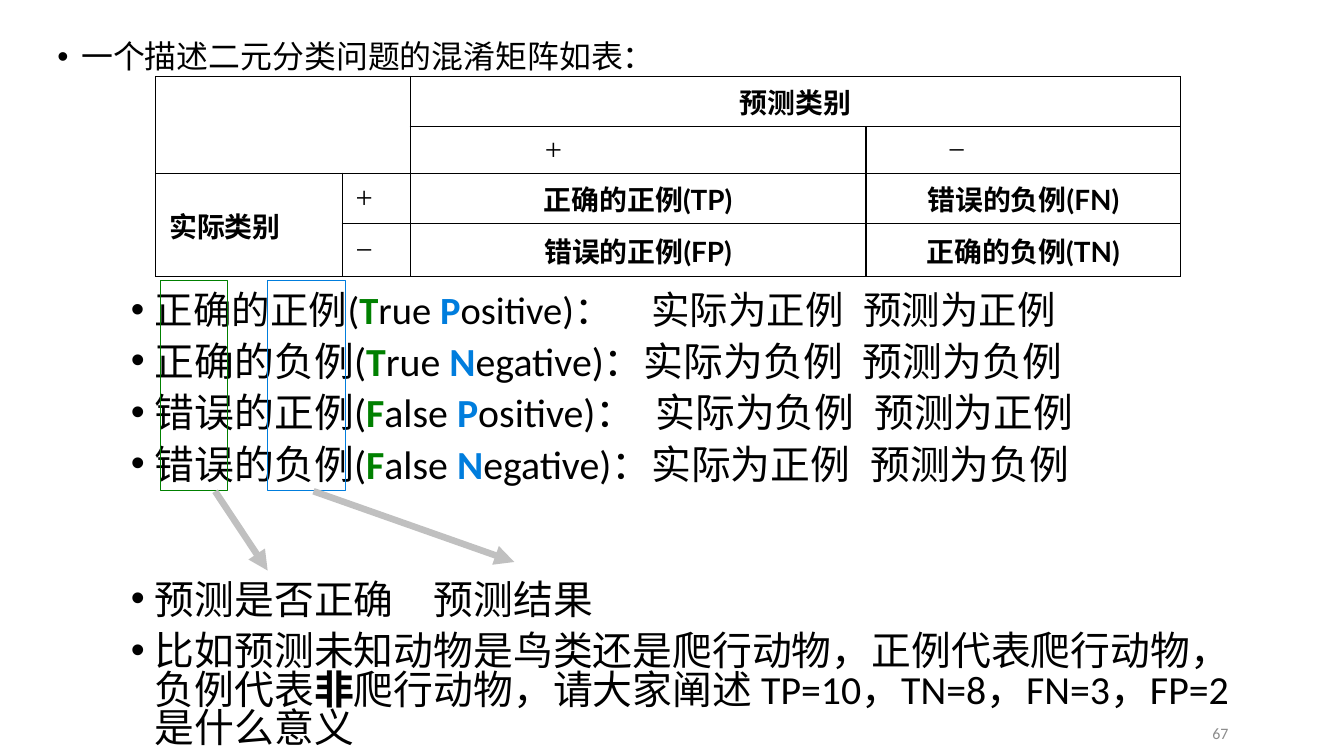
from lxml import etree
from pptx import Presentation
from pptx.dml.color import RGBColor
from pptx.enum.shapes import MSO_CONNECTOR, MSO_SHAPE
from pptx.enum.text import MSO_ANCHOR, MSO_AUTO_SIZE, PP_ALIGN
from pptx.oxml.ns import qn
from pptx.util import Inches, Pt

LEFT, CENTER, RIGHT = PP_ALIGN.LEFT, PP_ALIGN.CENTER, PP_ALIGN.RIGHT
TOP, MIDDLE = MSO_ANCHOR.TOP, MSO_ANCHOR.MIDDLE
NO_AUTOFIT = MSO_AUTO_SIZE.NONE
RECTANGLE, STRAIGHT = MSO_SHAPE.RECTANGLE, MSO_CONNECTOR.STRAIGHT

BLACK, GREEN, BLUE = "000000", "008000", "007DDD"
ARROW_GRAY, NUMBER_GRAY = "C0C0C0", "8C8C8C"
EN_SPACE, EM_SPACE = "\u2002", "\u2003"

INTRO = "一个描述二元分类问题的混淆矩阵如表："
OUTCOMES = [
    ("正确的正例", "True", "Positive", EM_SPACE, "正例", "正例"),
    ("正确的负例", "True", "Negative", "", "负例", "负例"),
    ("错误的正例", "False", "Positive", EN_SPACE, "负例", "正例"),
    ("错误的负例", "False", "Negative", "", "正例", "负例"),
]
MEANING = f"预测是否正确{EM_SPACE}预测结果"
QUESTION = [
    ("比如预测未知动物是鸟类还是爬行动物，正例代表爬行动物，负例代表", False),
    ("非", True),
    ("爬行动物，请大家阐述 TP=10，TN=8，FN=3，FP=2是什么意义", False),
]
PAGE_NUMBER = "67"

COLUMN_WIDTHS = [1.95, 0.71, 4.77, 3.29]
ROW_HEIGHTS = [0.5, 0.49, 0.46, 0.56]
MERGES = [((0, 0), (1, 1)), ((0, 2), (0, 3)), ((2, 0), (3, 0))]
CELL_MARGIN = 0.14
LABELS = {
    (0, 2): ("预测类别", CENTER),
    (2, 0): ("实际类别", LEFT),
    (2, 2): ("正确的正例(TP)", CENTER),
    (2, 3): ("错误的负例(FN)", CENTER),
    (3, 2): ("错误的正例(FP)", CENTER),
    (3, 3): ("正确的负例(TN)", CENTER),
}
SIGNS = {
    (1, 2): ("+", 1.41),
    (1, 3): ("−", 0.86),
    (2, 1): ("+", CELL_MARGIN),
    (3, 1): ("−", CELL_MARGIN),
}
FRAMES = [(1.68, 0.7, GREEN), (2.8, 0.81, BLUE)]
ARROWS = [((3.28, 5.14), (5.38, 5.88)), ((2.25, 5.14), (2.8, 5.97))]


def color(value):
    return RGBColor.from_string(value)


def add_run(paragraph, text, size=30, font="Calibri", fill=BLACK, bold=False):
    run = paragraph.add_run()
    run.text = text
    run.font.size = Pt(size)
    run.font.name = font
    run.font.bold = bold
    run.font.color.rgb = color(fill)


def format_bullet(paragraph, margin=0.25, line_spacing=0.8, space_before=10):
    paragraph.line_spacing = line_spacing
    paragraph.space_before = Pt(space_before)
    properties = paragraph._p.get_or_add_pPr()
    properties.set("marL", str(Inches(margin)))
    properties.set("indent", str(Inches(-0.25)))
    etree.SubElement(properties, qn("a:buChar")).set("char", "•")


def place_body(shape, left, top, width, height):
    shape.left, shape.top = Inches(left), Inches(top)
    shape.width, shape.height = Inches(width), Inches(height)
    frame = shape.text_frame
    frame.word_wrap = True
    frame.auto_size = NO_AUTOFIT
    frame.vertical_anchor = TOP
    return frame


def add_borders(cell):
    properties = cell._tc.get_or_add_tcPr()
    for side in ("lnL", "lnR", "lnT", "lnB"):
        line = etree.SubElement(properties, qn(f"a:{side}"), w=str(Pt(1)))
        fill = etree.SubElement(line, qn("a:solidFill"))
        etree.SubElement(fill, qn("a:srgbClr"), val=BLACK)


presentation = Presentation()
presentation.slide_width, presentation.slide_height = Inches(14.06), Inches(7.91)
slide = presentation.slides.add_slide(presentation.slide_layouts[3])
title, intro, details = slide.placeholders
title._element.getparent().remove(title._element)

intro_paragraph = place_body(intro, 0, 0.38, 13.79, 0.58).paragraphs[0]
format_bullet(intro_paragraph, margin=0.75, line_spacing=0.9, space_before=5)
add_run(intro_paragraph, INTRO, size=24)

table = slide.shapes.add_table(
    len(ROW_HEIGHTS), len(COLUMN_WIDTHS), Inches(1.63), Inches(0.8),
    Inches(sum(COLUMN_WIDTHS)), Inches(sum(ROW_HEIGHTS))).table
table.first_row = table.horz_banding = False
for column, width in zip(table.columns, COLUMN_WIDTHS):
    column.width = Inches(width)
for row, height in zip(table.rows, ROW_HEIGHTS):
    row.height = Inches(height)
for cell in table.iter_cells():
    add_borders(cell)
    cell.fill.background()
    cell.vertical_anchor = MIDDLE
    cell.margin_left = cell.margin_right = Inches(CELL_MARGIN)
for first, last in MERGES:
    table.cell(*first).merge(table.cell(*last))
for position, (text, alignment) in LABELS.items():
    paragraph = table.cell(*position).text_frame.paragraphs[0]
    paragraph.alignment = alignment
    add_run(paragraph, text, size=21, font="Lato", bold=True)
for position, (text, margin) in SIGNS.items():
    cell = table.cell(*position)
    cell.margin_left = Inches(margin)
    add_run(cell.text_frame.paragraphs[0], text, size=23, font="Times New Roman")

details_frame = place_body(details, 1.27, 3.04, 11.85, 4.9)
paragraphs = [details_frame.paragraphs[0]]
paragraphs += [details_frame.add_paragraph() for _ in range(len(OUTCOMES) + 1)]
for paragraph in paragraphs:
    format_bullet(paragraph)
*outcome_paragraphs, meaning, question = paragraphs
for index, (paragraph, outcome) in enumerate(zip(outcome_paragraphs, OUTCOMES)):
    name, truth, sign, gap, actual, predicted = outcome
    size = 29 if index == 0 else 30
    add_run(paragraph, f"{name}(", size=size)
    add_run(paragraph, truth[0], size=size, fill=GREEN, bold=True)
    add_run(paragraph, f"{truth[1:]} ", size=size)
    add_run(paragraph, sign[0], size=size, fill=BLUE, bold=True)
    ending = f"{sign[1:]})：{gap}实际为{actual}{EN_SPACE}预测为{predicted}"
    add_run(paragraph, ending, size=size)
meaning.space_before = Pt(73)
add_run(meaning, MEANING)
for text, bold in QUESTION:
    add_run(question, text, bold=bold)

number_box = slide.shapes.add_textbox(
    Inches(9.79), Inches(7.46), Inches(3.16), Inches(0.42))
number_box.text_frame.word_wrap = True
number_box.text_frame.vertical_anchor = MIDDLE
number_paragraph = number_box.text_frame.paragraphs[0]
number_paragraph.alignment = RIGHT
add_run(number_paragraph, PAGE_NUMBER, size=12, fill=NUMBER_GRAY)

for left, width, outline in FRAMES:
    frame = slide.shapes.add_shape(
        RECTANGLE, Inches(left), Inches(2.93), Inches(width), Inches(2.2))
    frame.shadow.inherit = False
    frame.fill.background()
    frame.line.color.rgb = color(outline)
    frame.line.width = Pt(0.75)

for start, end in ARROWS:
    arrow = slide.shapes.add_connector(STRAIGHT, *map(Inches, start + end))
    arrow.line.color.rgb = color(ARROW_GRAY)
    arrow.line.width = Pt(5)
    etree.SubElement(arrow.line._get_or_add_ln(), qn("a:tailEnd"), type="triangle")
    etree.SubElement(arrow._element.spPr, qn("a:effectLst"))

presentation.save("out.pptx")
